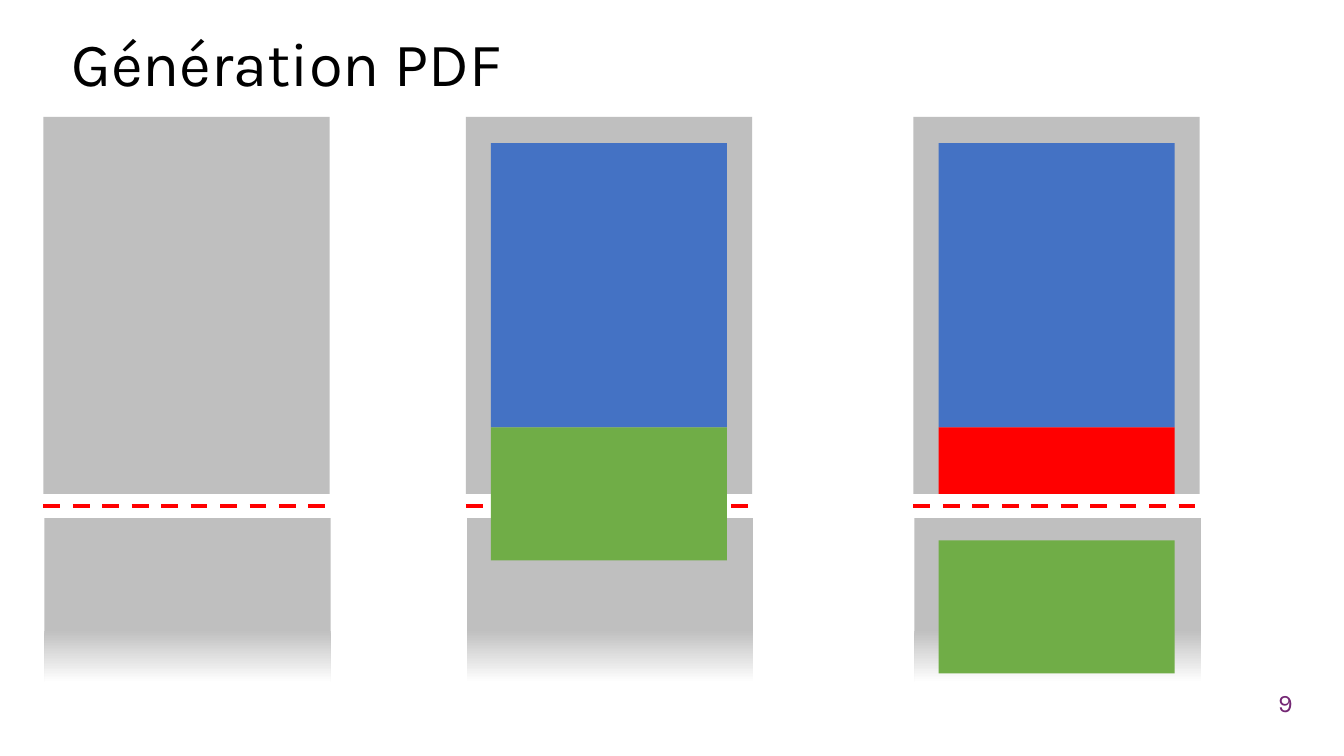
from pptx import Presentation
from pptx.util import Inches, Pt
from pptx.dml.color import RGBColor
from pptx.enum.dml import MSO_LINE
from pptx.enum.shapes import MSO_CONNECTOR, MSO_SHAPE
from pptx.enum.text import MSO_ANCHOR, PP_ALIGN
from pptx.oxml.ns import qn
from lxml.etree import SubElement

WIDTH, HEIGHT = 13.33, 7.5
FONT = "Karla"
COLORS = {
    "page": "BFBFBF", "white": "FFFFFF", "cut": "FF0000", "block": "4472C4",
    "next": "70AD47", "title": "000000", "number": "742774",
}

# Grid: page columns and rows, in inches
COLUMNS = (0.43, 4.62, 9.06)
PAGE_W, INNER_W = 2.84, 2.34
MARGIN = (PAGE_W - INNER_W) / 2
TOP, PAGE_H = 1.16, 3.74
BOTTOM = TOP + PAGE_H
GAP = 0.24
BELOW, BELOW_H = BOTTOM + GAP, 1.63
BLOCK_TOP, BLOCK_H, NEXT_H = TOP + 0.26, 2.82, 1.32
SPLIT = BLOCK_TOP + BLOCK_H


def color(name):
    return RGBColor.from_string(COLORS[name])


def box(slide, left, top, width, height, name):
    shape = slide.shapes.add_shape(
        MSO_SHAPE.RECTANGLE, *map(Inches, (left, top, width, height)))
    shape.shadow.inherit = False
    shape.line.fill.background()
    shape.fill.solid()
    shape.fill.fore_color.rgb = color(name)
    return shape


def fade(shape):
    """Fade the lower third of a page to white."""
    shape.fill.gradient()
    shape.fill.gradient_angle = 270
    stops = zip(shape.fill.gradient_stops, (0.68, 1), ("page", "white"))
    for stop, place, name in stops:
        stop.position = place
        stop.color.rgb = color(name)


def cut(slide, left):
    """Draw the dashed page break."""
    y = Inches(BOTTOM + GAP / 2)
    line = slide.shapes.add_connector(
        MSO_CONNECTOR.STRAIGHT, Inches(left), y, Inches(left + PAGE_W), y)
    line.line.color.rgb = color("cut")
    line.line.width = Pt(3)
    line.line.dash_style = MSO_LINE.DASH
    SubElement(line._element.spPr, qn("a:effectLst"))


def pages(slide, left):
    box(slide, left, TOP, PAGE_W, PAGE_H, "page")
    fade(box(slide, left + 0.01, BELOW, PAGE_W, BELOW_H, "page"))
    cut(slide, left)


def block(slide, left, top, height, name):
    box(slide, left + MARGIN, top, INNER_W, height, name)


def write(shape, text, size, name, align):
    frame = shape.text_frame
    frame.word_wrap = True
    frame.vertical_anchor = MSO_ANCHOR.MIDDLE
    frame.text = text
    para = frame.paragraphs[0]
    para.alignment = align
    para.font.name = FONT
    para.font.size = Pt(size)
    para.font.color.rgb = color(name)
    return para


def main():
    deck = Presentation()
    deck.slide_width, deck.slide_height = Inches(WIDTH), Inches(HEIGHT)
    slide = deck.slides.add_slide(deck.slide_layouts[5])

    # Title and slide number
    title = slide.shapes.title
    title.left, title.top = Inches(0.61), Inches(0.12)
    title.width, title.height = Inches(11.73), Inches(1.08)
    para = write(title, "Génération PDF", 44, "title", PP_ALIGN.LEFT)
    para.line_spacing = 0.9
    number = slide.shapes.add_textbox(*map(Inches, (12.25, 6.77, 1, 0.4)))
    write(number, "9", 18, "number", PP_ALIGN.CENTER)

    # Pages with their breaks
    for left in COLUMNS:
        pages(slide, left)

    # Content running across the break
    _, across, pushed = COLUMNS
    block(slide, across, BLOCK_TOP, BLOCK_H, "block")
    block(slide, across, SPLIT, NEXT_H, "next")

    # Content pushed to the next page by a filler
    block(slide, pushed, BLOCK_TOP, BLOCK_H, "block")
    block(slide, pushed, BELOW + 0.22, NEXT_H, "next")
    block(slide, pushed, SPLIT, BOTTOM - SPLIT, "cut")

    deck.save("out.pptx")


if __name__ == "__main__":
    main()
